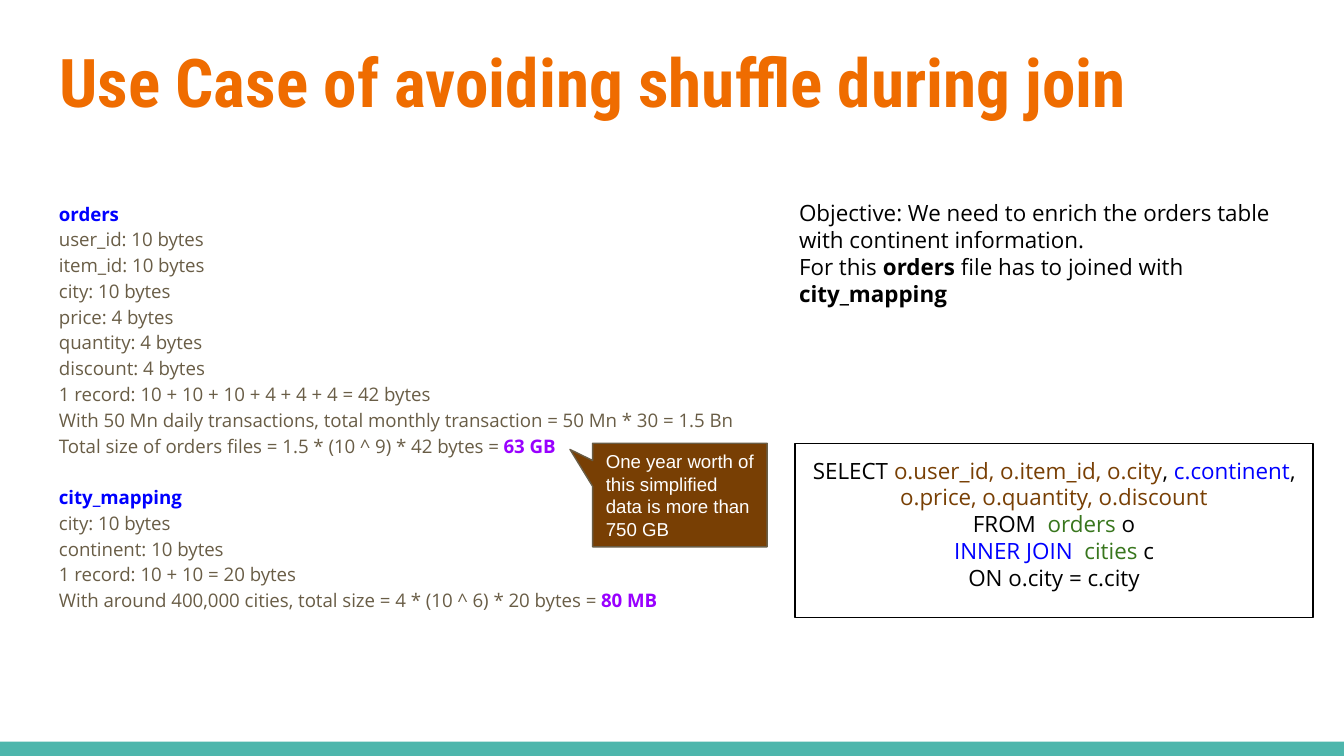
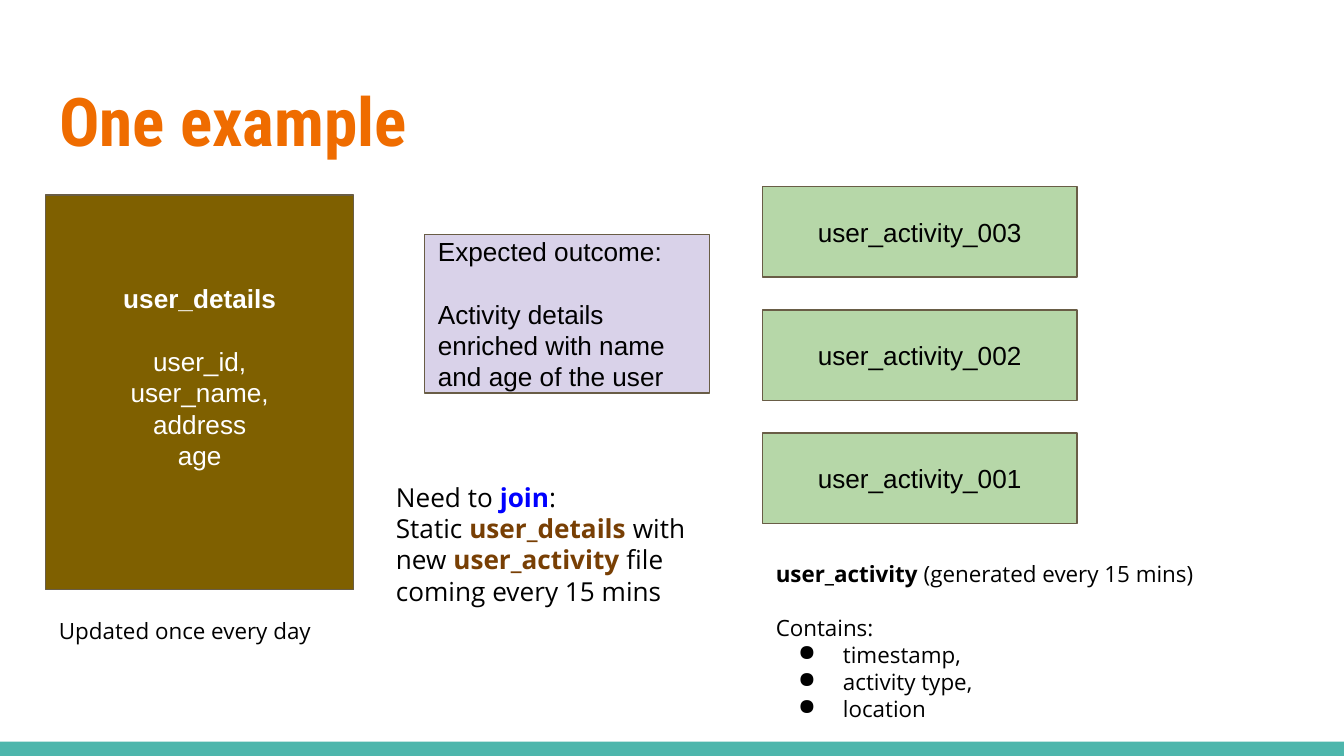
from dataclasses import dataclass, field

from lxml.etree import SubElement
from pptx import Presentation
from pptx.dml.color import RGBColor as RGB
from pptx.enum.shapes import MSO_SHAPE as Preset
from pptx.enum.text import MSO_ANCHOR as Anchor, PP_ALIGN as Align
from pptx.oxml.ns import qn
from pptx.util import Pt


@dataclass(frozen=True)
class Theme:
    heading: str = "Roboto Condensed"
    prose: str = "Open Sans"
    label: str = "Arial"
    title_size: int = 36
    large: int = 14
    medium: int = 12
    small: int = 10
    line_height: float = 1.2
    inset: float = 7.2
    border: float = 0.75
    orange: str = "EF6C00"
    teal: str = "4DB6AC"
    taupe: str = "695D46"
    brown: str = "783F04"
    olive: str = "7F6000"
    mint: str = "B6D7A8"
    lilac: str = "D9D2E9"
    blue: str = "0000FF"
    violet: str = "9900FF"
    green: str = "38761D"
    black: str = "000000"
    white: str = "FFFFFF"


THEME = Theme()
WIDTH, HEIGHT = 720, 405
MARGIN = 24.5


@dataclass
class Style:
    font: str
    size: int
    color: str = THEME.black
    align: Align = Align.LEFT
    spacing: float = 1.0


@dataclass
class Line:
    phrases: list = field(default_factory=list)
    color: str = None
    bold: bool = False
    gap: bool = False
    bullet: bool = False


def line(*phrases, **options):
    return Line([phrase if isinstance(phrase, tuple) else (phrase,) for phrase in phrases],
                **options)


def add_bullet(paragraph):
    properties = paragraph._p.get_or_add_pPr()
    properties.set("marL", str(Pt(36)))
    properties.set("indent", str(-Pt(24)))
    bullet_color = SubElement(properties, qn("a:buClr"))
    SubElement(bullet_color, qn("a:srgbClr")).set("val", THEME.black)
    SubElement(properties, qn("a:buChar")).set("char", "●")


def write_run(paragraph, text, color=None, bold=False):
    run = paragraph.add_run()
    run.text = text
    if color:
        run.font.color.rgb = RGB.from_string(color)
    if bold:
        run.font.bold = True


def write_lines(frame, lines, style, anchor=Anchor.TOP):
    frame.word_wrap = True
    frame.vertical_anchor = anchor
    frame.margin_left = frame.margin_right = Pt(THEME.inset)
    frame.margin_top = frame.margin_bottom = Pt(THEME.inset)
    for index, content in enumerate(lines):
        paragraph = frame.add_paragraph() if index else frame.paragraphs[0]
        paragraph.alignment = style.align
        paragraph.line_spacing = style.spacing
        if content.gap:
            paragraph.space_before = Pt(style.size * THEME.line_height * style.spacing)
        if content.bullet:
            add_bullet(paragraph)
        font = paragraph.font
        font.name, font.size, font.bold = style.font, Pt(style.size), content.bold
        font.color.rgb = RGB.from_string(content.color or style.color)
        for phrase in content.phrases:
            write_run(paragraph, *phrase)


def add_text(slide, box, lines, style):
    text_box = slide.shapes.add_textbox(*map(Pt, box))
    write_lines(text_box.text_frame, lines, style)


def add_panel(slide, box, fill=None, border=None, preset=Preset.RECTANGLE):
    panel = slide.shapes.add_shape(preset, *map(Pt, box))
    panel.shadow.inherit = False
    if fill:
        panel.fill.solid()
        panel.fill.fore_color.rgb = RGB.from_string(fill)
    else:
        panel.fill.background()
    if border:
        panel.line.color.rgb = RGB.from_string(border)
        panel.line.width = Pt(THEME.border)
    else:
        panel.line.fill.background()
    return panel


def add_titled_slide(deck, title, top):
    slide = deck.slides.add_slide(deck.slide_layouts[5])
    add_panel(slide, (0, 397.3, WIDTH, HEIGHT - 397.3), THEME.teal)
    heading = slide.shapes.title
    heading.left, heading.top, heading.width, heading.height = map(Pt, (MARGIN, top, 671, 55.5))
    style = Style(THEME.heading, THEME.title_size, THEME.orange)
    write_lines(heading.text_frame, [line(title, bold=True)], style)
    return slide


def build_shuffle_slide(deck):
    slide = add_titled_slide(deck, "Use Case of avoiding shuffle during join", 14.5)
    prose = Style(THEME.prose, THEME.medium)
    add_text(slide, (421, 99.5, 287.5, 75.5), [
        line("Objective: We need to enrich the orders table with continent information."),
        line("For this ", ("orders", None, True), " file has to joined with ",
             ("city_mapping", None, True)),
    ], prose)

    sizing = Style(THEME.prose, THEME.small, THEME.taupe, spacing=1.15)
    add_text(slide, (MARGIN, 99.5, 392.5, 293), [
        line("orders", color=THEME.blue, bold=True),
        line("user_id: 10 bytes"),
        line("item_id: 10 bytes"),
        line("city: 10 bytes"),
        line("price: 4 bytes"),
        line("quantity: 4 bytes"),
        line("discount: 4 bytes"),
        line("1 record: 10 + 10 + 10 + 4 + 4 + 4 = 42 bytes"),
        line("With 50 Mn daily transactions, total monthly transaction = 50 Mn * 30 = 1.5 Bn"),
        line("Total size of orders files = 1.5 * (10 ^ 9) * 42 bytes = ",
             ("63 GB", THEME.violet, True)),
        line("city_mapping", color=THEME.blue, bold=True, gap=True),
        line("city: 10 bytes"),
        line("continent: 10 bytes"),
        line("1 record: 10 + 10 = 20 bytes"),
        line("With around 400,000 cities, total size = 4 * (10 ^ 6) * 20 bytes = ",
             ("80 MB", THEME.violet, True)),
    ], sizing)

    yearly_note = add_panel(slide, (317.5, 237.5, 93.5, 55.5), THEME.brown, THEME.taupe,
                            Preset.RECTANGULAR_CALLOUT)
    yearly_note.adjustments[0] = -0.63
    yearly_note.adjustments[1] = -0.44
    write_lines(yearly_note.text_frame,
                [line("One year worth of this simplified data is more than 750 GB")],
                Style(THEME.label, THEME.small, THEME.white), Anchor.MIDDLE)

    query = add_panel(slide, (426, 237.5, 277.5, 93.5), border=THEME.black)
    write_lines(query.text_frame, [
        line("SELECT ", ("o.user_id, o.item_id, o.city", THEME.brown), ", ",
             ("c.continent", THEME.blue), ", ",
             ("o.price, o.quantity, o.discount", THEME.brown)),
        line("FROM  ", ("orders", THEME.green), " o"),
        line(("INNER JOIN  ", THEME.blue), ("cities", THEME.green), " c"),
        line("ON o.city = c.city"),
    ], Style(THEME.prose, THEME.medium, align=Align.CENTER))


def build_example_slide(deck):
    slide = add_titled_slide(deck, "One example", 35.5)
    user_details = add_panel(slide, (MARGIN, 104.5, 165, 211.5), THEME.olive, THEME.taupe)
    write_lines(user_details.text_frame, [
        line("user_details", bold=True),
        line("user_id,", gap=True),
        line("user_name,"),
        line("address"),
        line("age"),
    ], Style(THEME.label, THEME.large, THEME.white, Align.CENTER), Anchor.MIDDLE)
    user_details.text_frame.margin_bottom = Pt(THEME.inset + THEME.large * THEME.line_height)

    prose = Style(THEME.prose, THEME.medium)
    add_text(slide, (MARGIN, 323.5, 165, 36), [line("Updated once every day")], prose)

    file_label = Style(THEME.label, THEME.large, align=Align.CENTER)
    for row, number in enumerate((3, 2, 1)):
        activity_file = add_panel(slide, (408.5, 100 + 66 * row, 168.5, 48.5),
                                  THEME.mint, THEME.taupe)
        write_lines(activity_file.text_frame, [line(f"user_activity_{number:03}")],
                    file_label, Anchor.MIDDLE)

    add_text(slide, (408.5, 293, 265, 96.5), [
        line(("user_activity", None, True), " (generated every 15 mins)"),
        line("Contains:", gap=True),
        *(line(item, bullet=True) for item in ("timestamp,", "activity type,", "location")),
    ], prose)

    outcome = add_panel(slide, (227.5, 125.5, 152.5, 85), THEME.lilac, THEME.taupe)
    write_lines(outcome.text_frame, [
        line("Expected outcome:"),
        line("Activity details enriched with name and age of the user", gap=True),
    ], Style(THEME.label, THEME.large), Anchor.MIDDLE)

    add_text(slide, (205, 250.5, 186.5, 80), [
        line("Need to ", ("join", THEME.blue, True), ":"),
        line("Static ", ("user_details", THEME.brown, True), " with new ",
             ("user_activity", THEME.brown, True), " file coming every 15 mins"),
    ], Style(THEME.prose, THEME.large))


def main():
    deck = Presentation()
    deck.slide_width, deck.slide_height = Pt(WIDTH), Pt(HEIGHT)
    build_shuffle_slide(deck)
    build_example_slide(deck)
    deck.save("out.pptx")


if __name__ == "__main__":
    main()
